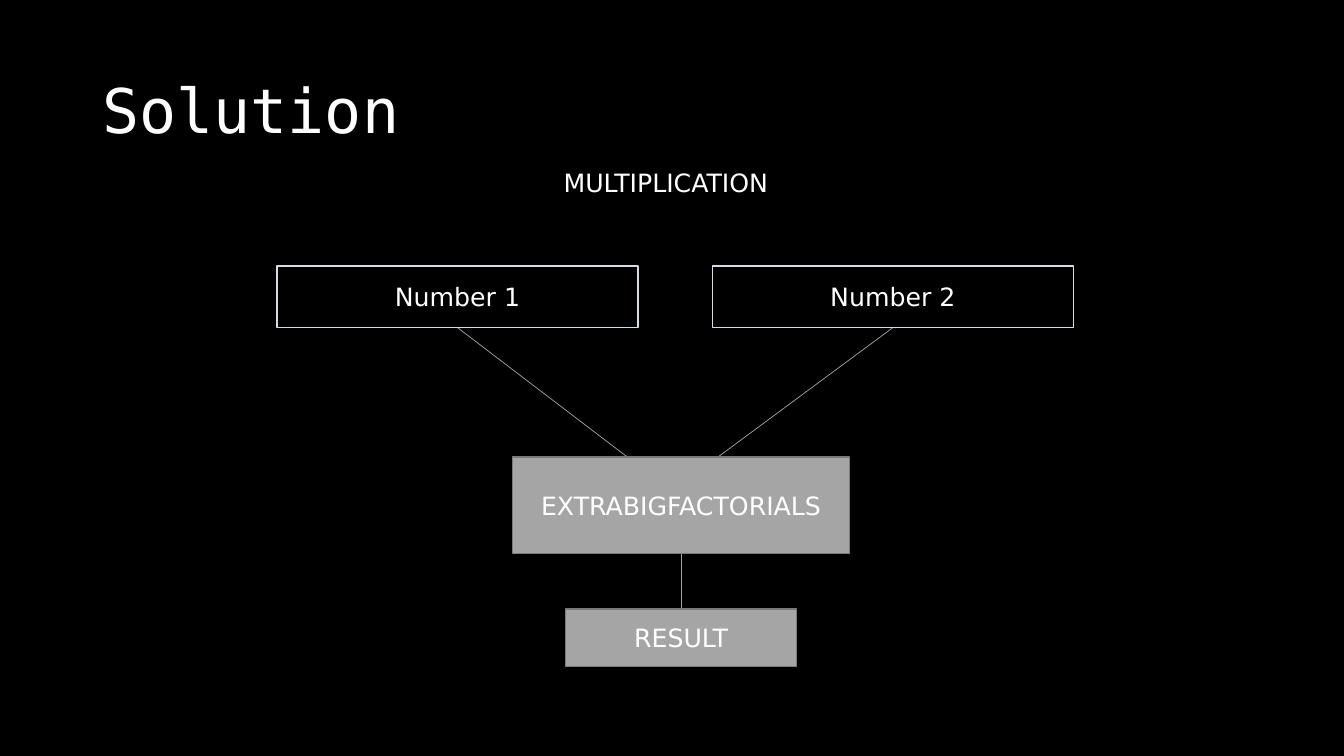
from lxml.etree import SubElement
from pptx import Presentation
from pptx.dml.color import RGBColor
from pptx.enum.shapes import MSO_CONNECTOR, MSO_SHAPE
from pptx.enum.text import MSO_ANCHOR as ANCHOR, MSO_AUTO_SIZE, PP_ALIGN as ALIGN
from pptx.oxml.ns import qn
from pptx.util import Pt

COLORS = {
    "black": "000000",
    "white": "FFFFFF",
    "pale": "D6DCE5",
    "gray": "A5A5A5",
    "dark_gray": "7A7A7A",
}


def rgb(name):
    return RGBColor.from_string(COLORS[name])


def write(frame, text, size=18, font="DejaVu Sans", color="white",
          align=ALIGN.CENTER, anchor=ANCHOR.MIDDLE, wrap=True, spacing=None):
    frame.word_wrap = wrap
    frame.vertical_anchor = anchor
    paragraph = frame.paragraphs[0]
    paragraph.alignment = align
    paragraph.line_spacing = spacing
    run = paragraph.add_run()
    run.text = text
    run.font.size = Pt(size)
    run.font.name = font
    run.font.color.rgb = rgb(color)


def add_heading(slide, text):
    heading = slide.shapes.title
    heading.left, heading.top = Pt(66), Pt(28.75)
    heading.width, heading.height = Pt(828), Pt(104.5)
    write(heading.text_frame, text, size=44, font="DejaVu Sans Mono",
          align=ALIGN.LEFT, spacing=0.9)


def add_caption(slide, text, left, top, width, height):
    caption = slide.shapes.add_textbox(Pt(left), Pt(top), Pt(width), Pt(height))
    write(caption.text_frame, text, align=ALIGN.LEFT, anchor=ANCHOR.TOP, wrap=False)
    caption.text_frame.auto_size = MSO_AUTO_SIZE.SHAPE_TO_FIT_TEXT


def add_box(slide, text, center, top, width, height, fill, line):
    box = slide.shapes.add_shape(MSO_SHAPE.RECTANGLE, Pt(center - width / 2),
                                 Pt(top), Pt(width), Pt(height))
    box.shadow.inherit = False
    box.fill.solid()
    box.fill.fore_color.rgb = rgb(fill)
    box.line.color.rgb = rgb(line)
    box.line.width = Pt(1)
    write(box.text_frame, text)


def add_link(slide, start, end, arrow=False):
    link = slide.shapes.add_connector(MSO_CONNECTOR.STRAIGHT,
                                      *(Pt(value) for value in (*start, *end)))
    link.line.color.rgb = rgb("gray")
    link.line.width = Pt(0.5)
    properties = link._element.spPr
    SubElement(properties, qn("a:effectLst"))
    if arrow:
        SubElement(properties.find(qn("a:ln")), qn("a:tailEnd"), type="triangle")


def main():
    deck = Presentation()
    deck.slide_width, deck.slide_height = Pt(960), Pt(540)
    slide = deck.slides.add_slide(deck.slide_layouts[5])
    slide.background.fill.solid()
    slide.background.fill.fore_color.rgb = rgb("black")

    add_heading(slide, "Solution")
    add_caption(slide, "MULTIPLICATION", 395.5, 116, 170, 29)

    inputs = [("Number 1", 326.8, 479), ("Number 2", 637.8, 481)]
    for label, center, target in inputs:
        add_link(slide, (center, 234), (target, 350), arrow=True)
        add_box(slide, label, center, 190, 258, 44, "black", "pale")

    flow_center = 486.5
    add_link(slide, (flow_center, 396), (flow_center, 455))
    steps = [("EXTRABIGFACTORIALS", 326.5, 241, 69), ("RESULT", 435, 165, 41)]
    for label, top, width, height in steps:
        add_box(slide, label, flow_center, top, width, height, "gray", "dark_gray")

    deck.save("out.pptx")


if __name__ == "__main__":
    main()
